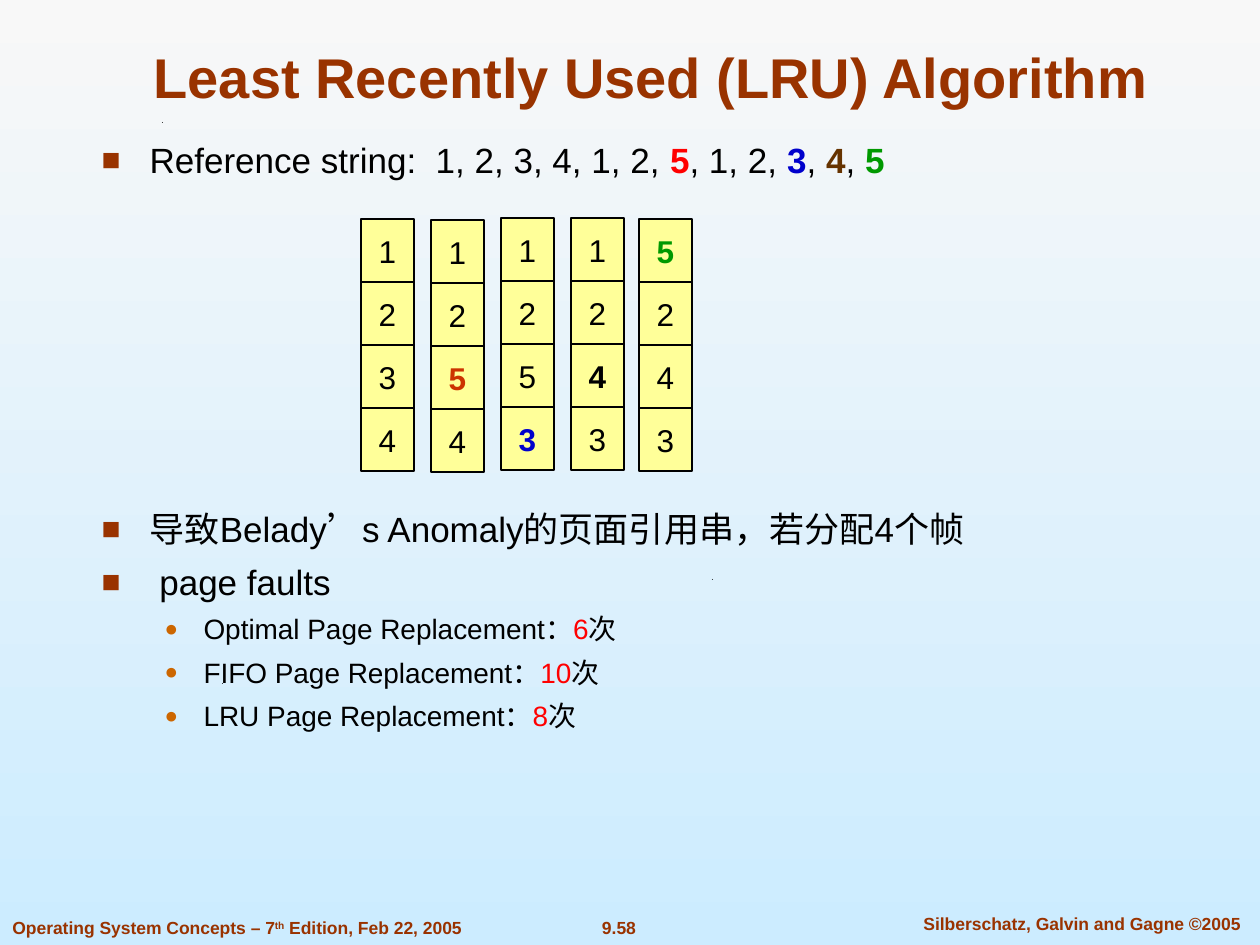
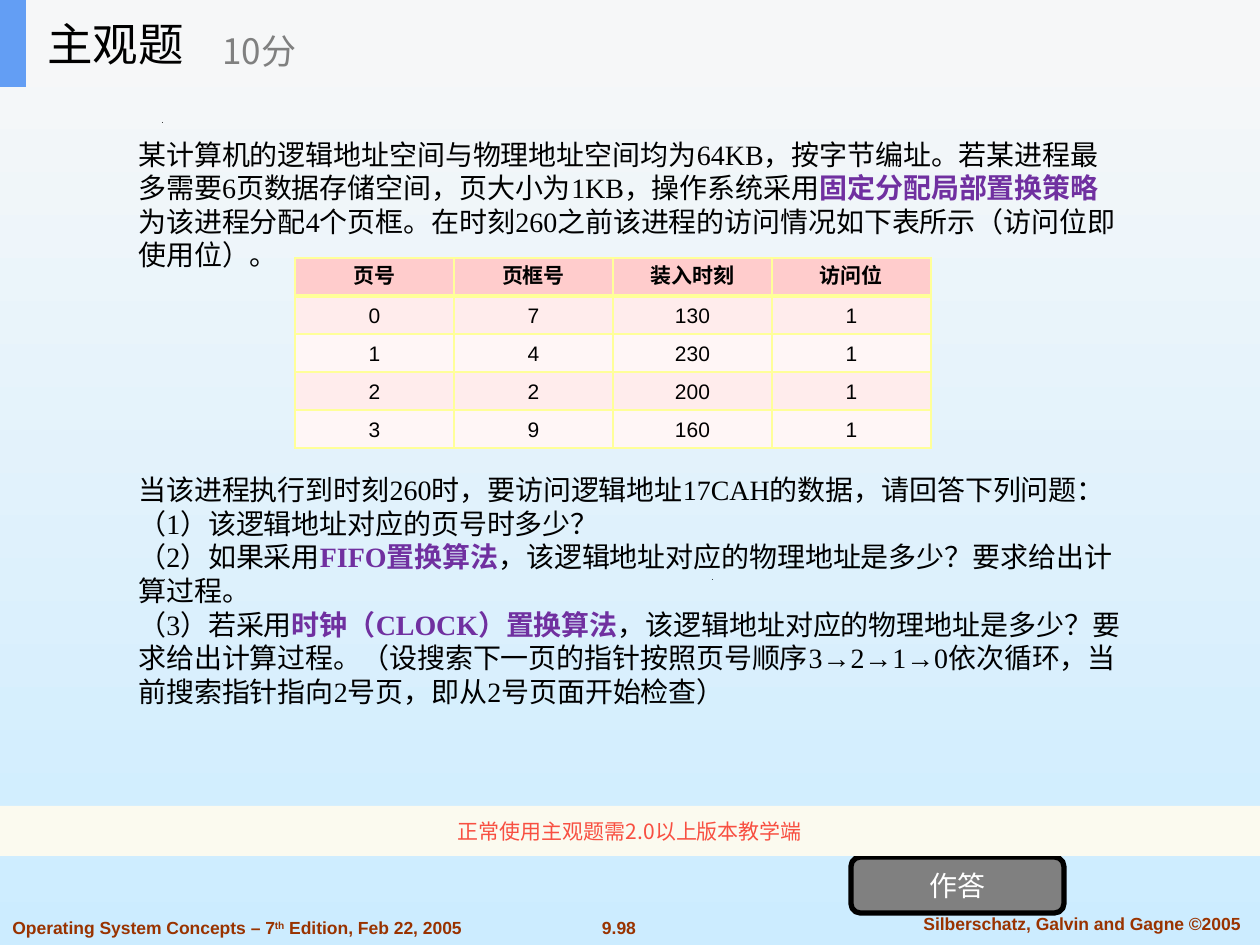
import pptx
import pptx.dml.color
import pptx.enum.shapes
import pptx.enum.text
import pptx.oxml.ns
import pptx.util
from lxml import etree

SCALE = 914400 / 126  # EMU in one px
LATIN, SERIF, CJK = "Arial", "Times New Roman", "Noto Sans CJK SC"
COLORS = {
    "sky_top": "F8F8F8", "sky_bottom": "CCECFF", "rust": "993300", "orange": "CC6600",
    "black": "000000", "white": "FFFFFF", "gray": "808080", "red": "FF0000",
    "blue": "0000CC", "brown": "663300", "green": "009900", "brick": "CC3300",
    "purple": "7030A0", "frame": "FFFF99", "header": "F6F7F8", "accent": "639EF4",
    "notice": "FBFAEF", "notice_text": "F84F41",
    "table_head": "FFCCCC", "row_odd": "FFECEC", "row_even": "FFF6F6",
}
ALIGN = pptx.enum.text.PP_ALIGN
ANCHOR = pptx.enum.text.MSO_ANCHOR
SHAPE = pptx.enum.shapes.MSO_SHAPE

# Page frames as (left, top, entries); an entry may carry a colour
FRAME_COLUMNS = [
    (361, 219, ["1", "2", "3", "4"]),
    (431, 220, ["1", "2", ("5", "brick"), "4"]),
    (501, 218, ["1", "2", "5", ("3", "blue")]),
    (571, 218, ["1", "2", ("4", "black"), "3"]),
    (639, 219, [("5", "green"), "2", "4", "3"]),
]
FRAME_WIDTH, FRAME_HEIGHT = 53, 63

FAULT_COUNTS = [("Optimal", "6"), ("FIFO", "10"), ("LRU", "8")]

PAGE_TABLE = [
    ["页号", "页框号", "装入时刻", "访问位"],
    ["0", "7", "130", "1"],
    ["1", "4", "230", "1"],
    ["2", "2", "200", "1"],
    ["3", "9", "160", "1"],
]

# Paragraphs of the question with the space before each, in points
QUESTION = [
    (0, ["某计算机的逻辑地址空间与物理地址空间均为64KB，按字节编址。若某进程最多需要6页数据存储空间，"
         "页大小为1KB，操作系统采用", ("固定分配局部置换策略", "purple"),
         "为该进程分配4个页框。在时刻260之前该进程的访问情况如下表所示（访问位即使用位）。"]),
    (115, ["当该进程执行到时刻260时，要访问逻辑地址17CAH的数据，请回答下列问题："]),
    (0, ["（1）该逻辑地址对应的页号时多少？"]),
    (0, ["（2）如果采用", ("FIFO置换算法", "purple"),
         "，该逻辑地址对应的物理地址是多少？要求给出计算过程。"]),
    (0, ["（3）若采用", ("时钟（CLOCK）置换算法", "purple"),
         "，该逻辑地址对应的物理地址是多少？要求给出计算过程。（设搜索下一页的指针按照页号顺序"
         "3→2→1→0依次循环，当前搜索指针指向2号页，即从2号页面开始检查）"]),
]


def px(length):
    return pptx.util.Emu(round(length * SCALE))


def rgb(name):
    return pptx.dml.color.RGBColor.from_string(COLORS[name])


def child(parent, tag, **attributes):
    return etree.SubElement(parent, pptx.oxml.ns.qn("a:" + tag), attributes)


def add_run(paragraph, text, size=20, color="black", font=LATIN, bold=False, raised=False):
    run = paragraph.add_run()
    run.text = text
    run.font.name = font
    run.font.size = pptx.util.Pt(size)
    run.font.bold = bold
    run.font.color.rgb = rgb(color)
    properties = run._r.get_or_add_rPr()
    child(properties, "ea", typeface=CJK)
    if raised:
        properties.set("baseline", "30000")


def write(paragraph, parts, align=ALIGN.LEFT, before=0, fixed_line=False, **run_format):
    """Fill a paragraph with strings and (text, colour) pairs; the pairs become bold."""
    paragraph.alignment = align
    paragraph.space_before = pptx.util.Pt(before)
    if fixed_line:
        paragraph.line_spacing = pptx.util.Pt(1.2 * run_format.get("size", 20))
    for part in [parts] if isinstance(parts, str) else parts:
        if isinstance(part, str):
            add_run(paragraph, part, **run_format)
        else:
            add_run(paragraph, part[0], **{**run_format, "color": part[1], "bold": True})


def set_bullet(paragraph, character, color, percent, margin, hanging):
    properties = paragraph._p.get_or_add_pPr()
    properties.set("marL", str(px(margin)))
    properties.set("indent", str(-px(hanging)))
    child(child(properties, "buClr"), "srgbClr", val=COLORS[color])
    child(properties, "buSzPct", val=str(percent * 1000))
    child(properties, "buFont", typeface=LATIN)
    child(properties, "buChar", char=character)


def place(shape, left, top, width, height):
    shape.left, shape.top, shape.width, shape.height = map(px, (left, top, width, height))
    shape.text_frame.auto_size = pptx.enum.text.MSO_AUTO_SIZE.NONE


def add_text_box(slide, box, anchor=ANCHOR.TOP):
    text_frame = slide.shapes.add_textbox(*map(px, box)).text_frame
    text_frame.word_wrap = True
    text_frame.vertical_anchor = anchor
    return text_frame


def add_panel(slide, box, fill, text=None, kind=SHAPE.RECTANGLE, line=None, **text_format):
    shape = slide.shapes.add_shape(kind, *map(px, box))
    shape.shadow.inherit = False
    shape.fill.solid()
    shape.fill.fore_color.rgb = rgb(fill)
    if line:
        shape.line.color.rgb = rgb("black")
        shape.line.width = pptx.util.Pt(line)
    else:
        shape.line.fill.background()
    if text:
        shape.text_frame.vertical_anchor = ANCHOR.MIDDLE
        write(shape.text_frame.paragraphs[0], text, align=ALIGN.CENTER, **text_format)


def add_speck(slide, left, top):
    builder = slide.shapes.build_freeform(left, top + 1, scale=SCALE)
    builder.add_line_segments([(left + 1, top), (left + 1, top + 1)])
    speck = builder.convert_to_shape()
    speck.shadow.inherit = False
    speck.fill.solid()
    speck.fill.fore_color.rgb = rgb("black")
    speck.line.fill.background()


def set_background(master):
    fill = master.background.fill
    fill.gradient()
    fill.gradient_angle = 270
    for stop, color, position in zip(fill.gradient_stops, ("sky_top", "sky_bottom"), (0, 1)):
        stop.color.rgb = rgb(color)
        stop.position = position


def add_slide(presentation, layout, number):
    """Add a slide with the shared specks and footers."""
    slide = presentation.slides.add_slide(presentation.slide_layouts[layout])
    for left, top in [(222, 683), (164, 579), (712, 579), (162, 122)]:
        add_speck(slide, left, top)
    style = {"size": 10, "color": "rust", "bold": True}
    write(add_text_box(slide, (588, 911, 62, 34)).paragraphs[0], number,
          align=ALIGN.CENTER, **style)
    write(add_text_box(slide, (895, 907, 374, 34)).paragraphs[0],
          "Silberschatz, Galvin and Gagne ©2005", align=ALIGN.CENTER, **style)
    book = add_text_box(slide, (0, 911, 476, 34)).paragraphs[0]
    write(book, "Operating System Concepts – 7", **style)
    add_run(book, "th", raised=True, **style)
    add_run(book, " Edition, Feb 22, 2005", **style)
    return slide


def add_table(slide, rows, left, top, column_width, row_height):
    frame = slide.shapes.add_table(
        len(rows), len(rows[0]), px(left), px(top),
        px(column_width * len(rows[0])), px(row_height * len(rows)))
    table = frame.table
    table.first_row = table.horz_banding = False
    for column in table.columns:
        column.width = px(column_width)
    for index, values in enumerate(rows):
        table.rows[index].height = px(row_height)
        fill = "table_head" if index == 0 else "row_odd" if index % 2 else "row_even"
        for cell, value in zip(table.rows[index].cells, values):
            write(cell.text_frame.paragraphs[0], value, align=ALIGN.CENTER,
                  fixed_line=True, size=12, bold=index == 0)
            set_borders(cell, top=3 if index == 1 else 1, bottom=3 if index == 0 else 1)
            cell.fill.solid()
            cell.fill.fore_color.rgb = rgb(fill)


def set_borders(cell, top, bottom):
    properties = cell._tc.get_or_add_tcPr()
    for side, width in (("lnL", 1), ("lnR", 1), ("lnT", top), ("lnB", bottom)):
        line = child(properties, side, w=str(pptx.util.Pt(width)))
        child(child(line, "solidFill"), "srgbClr", val=COLORS["frame"])


def build_lru_slide(presentation):
    slide = add_slide(presentation, 1, "9.58")
    title, body = slide.placeholders

    place(title, 95, 32, 1112, 84)
    title.text_frame.vertical_anchor = ANCHOR.BOTTOM
    write(title.text_frame.paragraphs[0], "Least Recently Used (LRU) Algorithm",
          align=ALIGN.CENTER, size=32, color="rust", bold=True)

    # Bulleted list, with room for the frames after its first line
    place(body, 89, 132, 1084, 687)
    reference = ["Reference string:  1, 2, 3, 4, 1, 2, ", ("5", "red"), ", 1, 2, ",
                 ("3", "blue"), ", ", ("4", "brown"), ", ", ("5", "green")]
    anomaly = "导致Belady’s Anomaly的页面引用串，若分配4个帧"
    text_frame = body.text_frame
    paragraph = text_frame.paragraphs[0]
    for parts, before in [(reference, 0), (anomaly, 187), (" page faults", 6)]:
        if before:
            paragraph = text_frame.add_paragraph()
        set_bullet(paragraph, "■", "rust", 90, 48, 48)
        write(paragraph, parts, before=before, fixed_line=True, size=20)
    for algorithm, count in FAULT_COUNTS:
        paragraph = text_frame.add_paragraph()
        paragraph.level = 1
        set_bullet(paragraph, "●", "orange", 80, 102, 39)
        write(paragraph, f"{algorithm} Page Replacement：", before=5.6, fixed_line=True, size=16)
        add_run(paragraph, count, size=16, color="red")
        add_run(paragraph, "次", size=16)

    # Page frames
    for left, top, entries in FRAME_COLUMNS:
        for row, entry in enumerate(entries):
            box = (left, top + row * FRAME_HEIGHT, FRAME_WIDTH, FRAME_HEIGHT)
            add_panel(slide, box, "frame", [entry], line=0.75, size=18)


def build_question_slide(presentation):
    slide = add_slide(presentation, 6, "9.98")

    # Question and page table
    text_frame = add_text_box(slide, (126, 131, 1008, 668))
    for index, (before, parts) in enumerate(QUESTION):
        paragraph = text_frame.add_paragraph() if index else text_frame.paragraphs[0]
        write(paragraph, parts, before=before, fixed_line=True, size=16, font=SERIF)

    # Answer button and notice
    add_panel(slide, (851, 857, 213, 56), "gray", "作答", kind=SHAPE.ROUNDED_RECTANGLE,
              line=3, size=16, color="white", font=CJK)
    add_panel(slide, (0, 806, 1260, 50), "notice", "正常使用主观题需2.0以上版本教学端",
              size=12, color="notice_text", font=CJK)
    add_table(slide, PAGE_TABLE, 295, 258, 159, 38)

    # Header band
    add_panel(slide, (0, 0, 1260, 87), "header")
    add_panel(slide, (0, 0, 26, 87), "accent")
    write(add_text_box(slide, (35, 0, 262, 87), ANCHOR.MIDDLE).paragraphs[0],
          "主观题", size=26, font=CJK)
    write(add_text_box(slide, (210, 15, 315, 71), ANCHOR.MIDDLE).paragraphs[0],
          "10分", size=20, color="gray", font=CJK)


def main():
    presentation = pptx.Presentation()
    presentation.slide_width, presentation.slide_height = px(1260), px(945)
    set_background(presentation.slide_master)
    build_lru_slide(presentation)
    build_question_slide(presentation)
    presentation.save("out.pptx")


if __name__ == "__main__":
    main()
